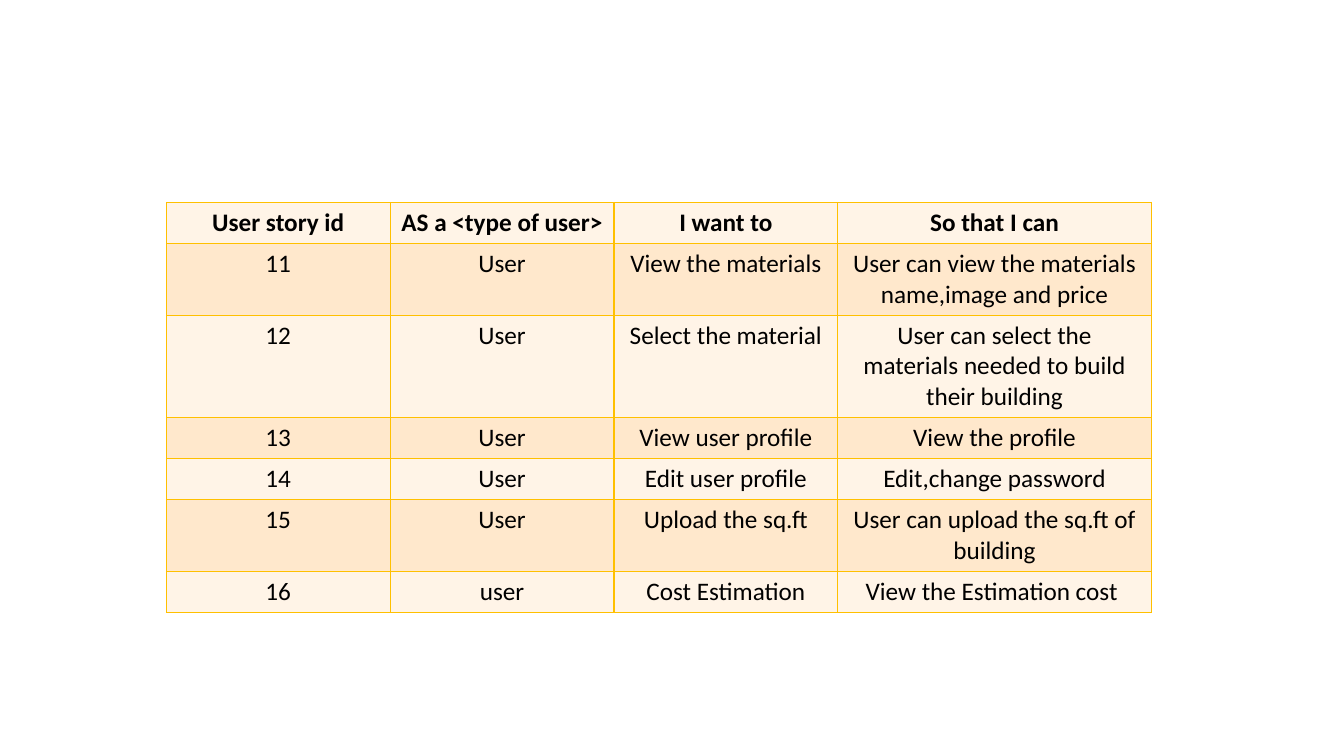
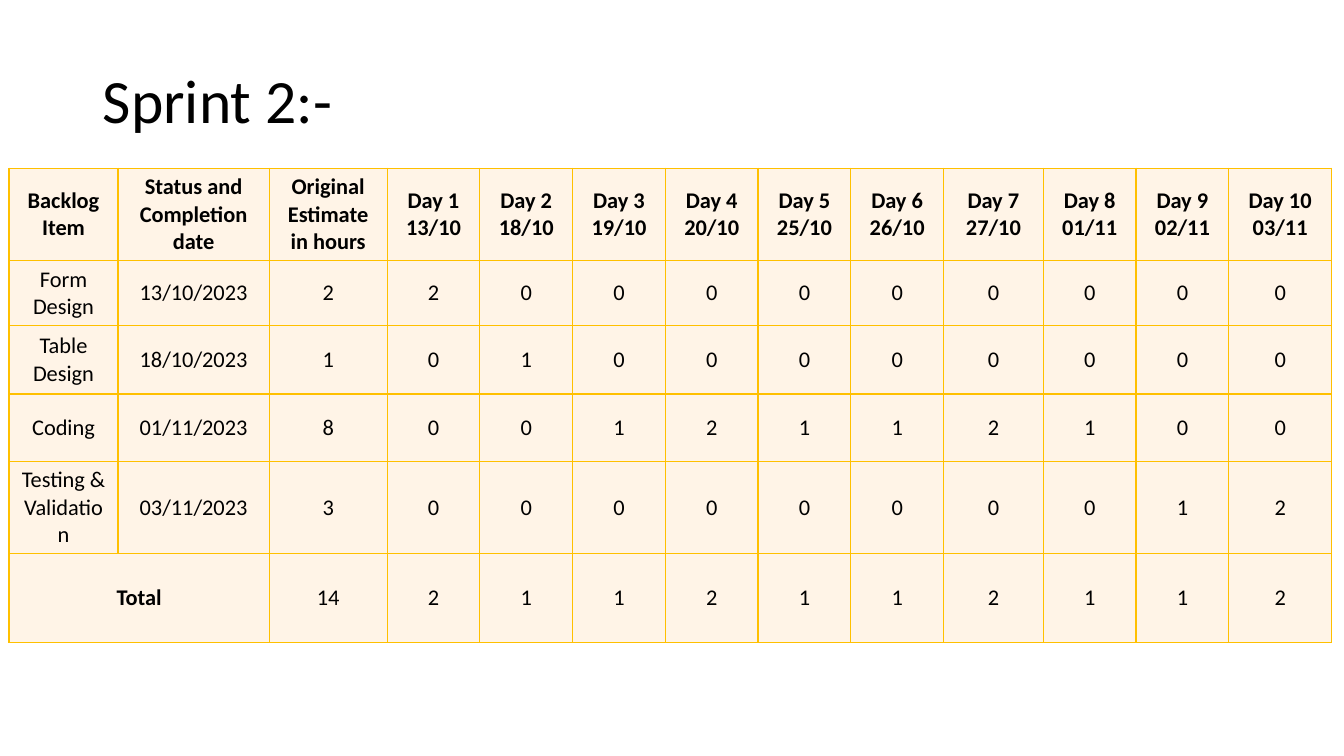
from dataclasses import dataclass

from lxml import etree
from pptx import Presentation
from pptx.dml import color
from pptx.enum import text
from pptx.oxml import ns
from pptx.util import Emu, Pt

PX = 9144
FONT = "Calibri"
COLORS = {"ink": "000000", "border": "FFC000", "light": "FFF4E7", "band": "FFE8CC"}
BORDER_WIDTH = Pt(1)
TITLE_LAYOUT, BLANK_LAYOUT = 5, 6


@dataclass(frozen=True)
class TableSpec:
    left: int
    top: int
    cols: list[int]
    heights: list[int]
    rows: list[list[str]]
    size: int
    anchor: text.MSO_ANCHOR
    fills: tuple[str, ...]
    merged_label: str = ""


def px(value: int) -> Emu:
    return Emu(value * PX)


def rgb(name: str) -> color.RGBColor:
    return color.RGBColor.from_string(COLORS[name])


def apply(target, values: dict) -> None:
    for name, value in values.items():
        setattr(target, name, value)


def write(tf, content: str, size: int, bold: bool, para: dict) -> None:
    for i, line in enumerate(content.split("\n")):
        p = tf.paragraphs[0] if i == 0 else tf.add_paragraph()
        apply(p, para)
        r = p.add_run()
        r.text = line
        apply(r.font, {"name": FONT, "size": Pt(size), "bold": bold})
        r.font.color.rgb = rgb("ink")


def add_borders(cell) -> None:
    tc_pr = cell._tc.get_or_add_tcPr()
    for side in ("lnL", "lnR", "lnT", "lnB"):
        ln = etree.SubElement(tc_pr, ns.qn(f"a:{side}"), w=str(BORDER_WIDTH))
        fill = etree.SubElement(ln, ns.qn("a:solidFill"))
        etree.SubElement(fill, ns.qn("a:srgbClr"), val=COLORS["border"])


def draw_table(slide, spec: TableSpec) -> None:
    frame = slide.shapes.add_table(
        len(spec.rows), len(spec.cols), px(spec.left), px(spec.top),
        px(sum(spec.cols)), px(sum(spec.heights)),
    )
    table = frame.table
    apply(table, {"first_row": False, "horz_banding": False})
    for col, width in zip(table.columns, spec.cols):
        col.width = px(width)
    for row, height in zip(table.rows, spec.heights):
        row.height = px(height)
    for i, values in enumerate(spec.rows):
        for j, value in enumerate(values):
            cell = table.cell(i, j)
            add_borders(cell)
            cell.fill.solid()
            cell.fill.fore_color.rgb = rgb(spec.fills[i % len(spec.fills)])
            cell.vertical_anchor = spec.anchor
            is_label = bool(value) and value == spec.merged_label
            if value:
                write(cell.text_frame, value, spec.size, i == 0 or is_label,
                      {"alignment": text.PP_ALIGN.CENTER})
            if is_label:
                cell.merge(table.cell(i, j + 1))


def draw_title(slide, content: str) -> None:
    sp = slide.shapes.title
    apply(sp, {"left": px(92), "top": px(30), "width": px(1150), "height": px(145)})
    tf = sp.text_frame
    apply(tf, {"vertical_anchor": text.MSO_ANCHOR.MIDDLE, "word_wrap": True})
    write(tf, content, 44, False,
          {"alignment": text.PP_ALIGN.LEFT, "line_spacing": 0.9})


STORIES = [
    ["User story id", "AS a <type of user>", "I want to", "So that I can"],
    ["11", "User", "View the materials", "User can view the materials name,image and price"],
    ["12", "User", "Select the material",
     "User can select the materials needed to build their building"],
    ["13", "User", "View user profile", "View the profile"],
    ["14", "User", "Edit user profile", "Edit,change password"],
    ["15", "User", "Upload the sq.ft", "User can upload the sq.ft of building"],
    ["16", "user", "Cost Estimation", "View the Estimation cost "],
]

DAYS = ["13/10", "18/10", "19/10", "20/10", "25/10",
        "26/10", "27/10", "01/11", "02/11", "03/11"]

TASKS = [
    ("Form Design", "13/10/2023", [2, 0, 0, 0, 0, 0, 0, 0, 0, 0]),
    ("Table Design", "18/10/2023", [0, 1, 0, 0, 0, 0, 0, 0, 0, 0]),
    ("Coding", "01/11/2023", [0, 0, 1, 2, 1, 1, 2, 1, 0, 0]),
    ("Testing &\nValidation", "03/11/2023", [0, 0, 0, 0, 0, 0, 0, 0, 1, 2]),
]


def sprint_row(item: str, date: str, hours: list[int]) -> list[str]:
    return [item, date, str(sum(hours)), *map(str, hours)]


def sprint_rows() -> list[list[str]]:
    header = ["Backlog Item", "Status and\nCompletion date", "Original Estimate in hours"]
    header += [f"Day {n}\n{date}" for n, date in enumerate(DAYS, 1)]
    totals = [sum(day) for day in zip(*(hours for _, _, hours in TASKS))]
    return [header, *(sprint_row(*task) for task in TASKS), sprint_row("Total", "", totals)]


def main() -> None:
    prs = Presentation()
    apply(prs, {"slide_width": px(1333), "slide_height": px(750)})

    stories = prs.slides.add_slide(prs.slide_layouts[BLANK_LAYOUT])
    draw_table(stories, TableSpec(
        left=165, top=201, cols=[222, 222, 222, 311],
        heights=[40, 70, 102, 40, 40, 70, 40], rows=STORIES, size=18,
        anchor=text.MSO_ANCHOR.TOP, fills=("light", "band"),
    ))

    sprint = prs.slides.add_slide(prs.slide_layouts[TITLE_LAYOUT])
    draw_title(sprint, "Sprint 2:-")
    draw_table(sprint, TableSpec(
        left=9, top=167, cols=[108, 150, 117, *[92] * 6, 99, 92, 92, 102],
        heights=[91, 64, 68, 67, 91, 88], rows=sprint_rows(), size=16,
        anchor=text.MSO_ANCHOR.MIDDLE, fills=("light",), merged_label="Total",
    ))

    prs.save("out.pptx")


if __name__ == "__main__":
    main()
